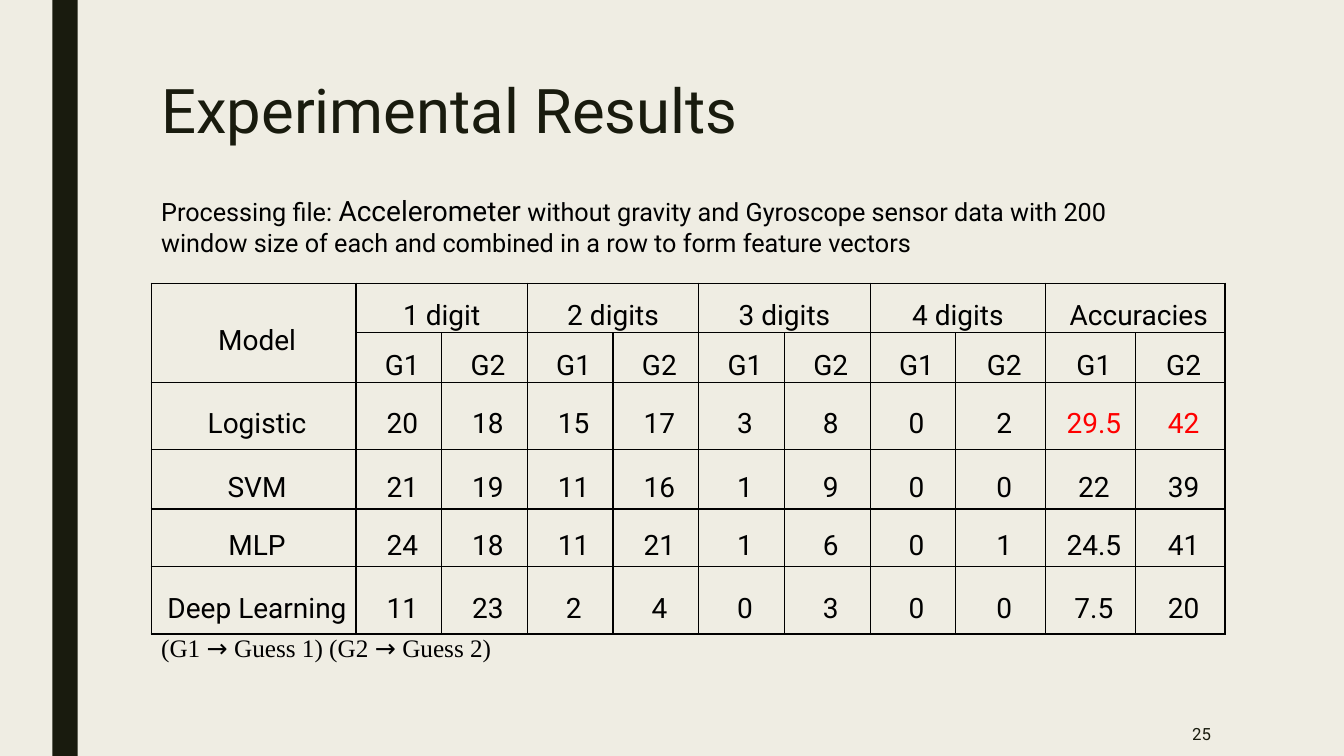
from dataclasses import dataclass

from lxml import etree
from pptx import Presentation
from pptx.dml.color import RGBColor
from pptx.enum.shapes import MSO_SHAPE
from pptx.enum.text import MSO_ANCHOR, MSO_AUTO_SIZE, PP_ALIGN
from pptx.oxml.ns import qn
from pptx.util import Inches, Pt

RECTANGLE = MSO_SHAPE.RECTANGLE
TOP, MIDDLE = MSO_ANCHOR.TOP, MSO_ANCHOR.MIDDLE
LEFT, CENTER, RIGHT = PP_ALIGN.LEFT, PP_ALIGN.CENTER, PP_ALIGN.RIGHT
NO_AUTOFIT = MSO_AUTO_SIZE.NONE

COLORS = {"paper": "EFEDE3", "ink": "191B0E", "black": "000000", "best": "FF0000"}
SANS, SERIF = "Roboto", "Times New Roman"
CELL_INSET = Inches(0.07)


@dataclass
class Run:
    text: str
    size: float = 18
    font: str = SANS
    color: str = "black"


@dataclass
class Box:
    left: float
    top: float
    width: float
    height: float

    def lengths(self) -> tuple:
        return tuple(Inches(n) for n in (self.left, self.top, self.width, self.height))


@dataclass
class ModelResult:
    model: str
    guesses: tuple
    accuracies: tuple
    accuracy_color: str = "black"


def write_text(frame, runs: list[Run], *, align=LEFT, line_spacing=None,
               space_before=0.0, indent=0):
    paragraph = frame.paragraphs[0]
    paragraph.alignment = align
    paragraph.space_before = Pt(space_before)
    if line_spacing:
        paragraph.line_spacing = line_spacing
    if indent:
        paragraph._p.get_or_add_pPr().set("marL", str(indent))
    for part in runs:
        run = paragraph.add_run()
        run.text = part.text
        run.font.size = Pt(part.size)
        run.font.name = part.font
        run.font.color.rgb = RGBColor.from_string(COLORS[part.color])


def add_text_box(slide, box: Box, runs: list[Run], wrap=True, anchor=TOP, align=LEFT):
    frame = slide.shapes.add_textbox(*box.lengths()).text_frame
    frame.word_wrap = wrap
    frame.vertical_anchor = anchor
    write_text(frame, runs, align=align)


def draw_borders(cell):
    properties = cell._tc.get_or_add_tcPr()
    for side in ("lnL", "lnR", "lnT", "lnB"):
        line = etree.SubElement(properties, qn(f"a:{side}"), w=str(Pt(1)))
        fill = etree.SubElement(line, qn("a:solidFill"))
        etree.SubElement(fill, qn("a:srgbClr"), val=COLORS["black"])


def fill_cell(cell, text: str, color: str = "black", anchor=MIDDLE):
    cell.margin_left = cell.margin_right = CELL_INSET
    cell.margin_top = cell.margin_bottom = 0
    cell.vertical_anchor = anchor
    write_text(cell.text_frame, [Run(text, 20, color=color)], align=CENTER,
               line_spacing=1.5, space_before=4.2, indent=CELL_INSET)


def add_results_table(slide, box: Box, groups: list[str], results: list[ModelResult]):
    widths = [2.03] + [0.85] * 7 + [0.89] * 3
    heights = [0.46, 0.46, 0.67, 0.59, 0.57, 0.67]
    table = slide.shapes.add_table(len(heights), len(widths), *box.lengths()).table
    table.first_row = table.horz_banding = False
    for column, width in zip(table.columns, widths):
        column.width = Inches(width)
    for row, height in zip(table.rows, heights):
        row.height = Inches(height)
    for cell in table.iter_cells():
        draw_borders(cell)
        cell.fill.background()

    table.cell(0, 0).merge(table.cell(1, 0))
    fill_cell(table.cell(0, 0), "Model")
    for index, group in enumerate(groups):
        first = 1 + 2 * index
        anchor = TOP if group == groups[-1] else MIDDLE
        table.cell(0, first).merge(table.cell(0, first + 1))
        fill_cell(table.cell(0, first), group, anchor=anchor)
        for offset, guess in enumerate(("G1", "G2")):
            fill_cell(table.cell(1, first + offset), guess, anchor=anchor)

    for row, result in enumerate(results, start=2):
        fill_cell(table.cell(row, 0), result.model)
        for column, count in enumerate(result.guesses, start=1):
            fill_cell(table.cell(row, column), str(count))
        for column, accuracy in enumerate(result.accuracies, start=9):
            fill_cell(table.cell(row, column), str(accuracy), result.accuracy_color)


presentation = Presentation()
presentation.slide_width, presentation.slide_height = Inches(13.33), Inches(7.5)
slide = presentation.slides.add_slide(presentation.slide_layouts[5])
slide.background.fill.solid()
slide.background.fill.fore_color.rgb = RGBColor.from_string(COLORS["paper"])

side_bar = slide.shapes.add_shape(RECTANGLE, *Box(0.52, 0, 0.25, 7.5).lengths())
side_bar.shadow.inherit = False
side_bar.fill.solid()
side_bar.fill.fore_color.rgb = RGBColor.from_string(COLORS["ink"])
side_bar.line.fill.background()

title = slide.shapes.title
title.left, title.top, title.width, title.height = Box(1.5, 0.75, 10.5, 1.62).lengths()
title.text_frame.auto_size = NO_AUTOFIT
title.text_frame.vertical_anchor = TOP
write_text(title.text_frame, [Run("Experimental Results", 44, color="ink")],
           line_spacing=0.89)

add_results_table(
    slide,
    Box(1.5, 2.81, 10.64, 3.41),
    ["1 digit ", "2 digits ", "3 digits ", "4 digits ", "Accuracies"],
    [
        ModelResult("Logistic", (20, 18, 15, 17, 3, 8, 0, 2), (29.5, 42), "best"),
        ModelResult("SVM", (21, 19, 11, 16, 1, 9, 0, 0), (22, 39)),
        ModelResult("MLP", (24, 18, 11, 21, 1, 6, 0, 1), (24.5, 41)),
        ModelResult("Deep Learning", (11, 23, 2, 4, 0, 3, 0, 0), (7.5, 20)),
    ],
)

arrow = Run("→")
add_text_box(slide, Box(1.5, 6.22, 3.58, 0.4), [
    Run("(G1 ", font=SERIF), arrow, Run(" Guess 1) (G2 ", font=SERIF), arrow,
    Run(" Guess 2)", font=SERIF),
], wrap=False)
add_text_box(slide, Box(1.5, 1.87, 10.2, 0.74), [
    Run("Processing file: "),
    Run("Accelerometer", 20),
    Run(" without gravity and Gyroscope sensor data with 200 window size of each"
        " and combined in a row to form feature vectors"),
])
add_text_box(slide, Box(10.36, 7.06, 1.75, 0.44), [Run("25", 12, color="ink")],
             anchor=MIDDLE, align=RIGHT)

presentation.save("out.pptx")
